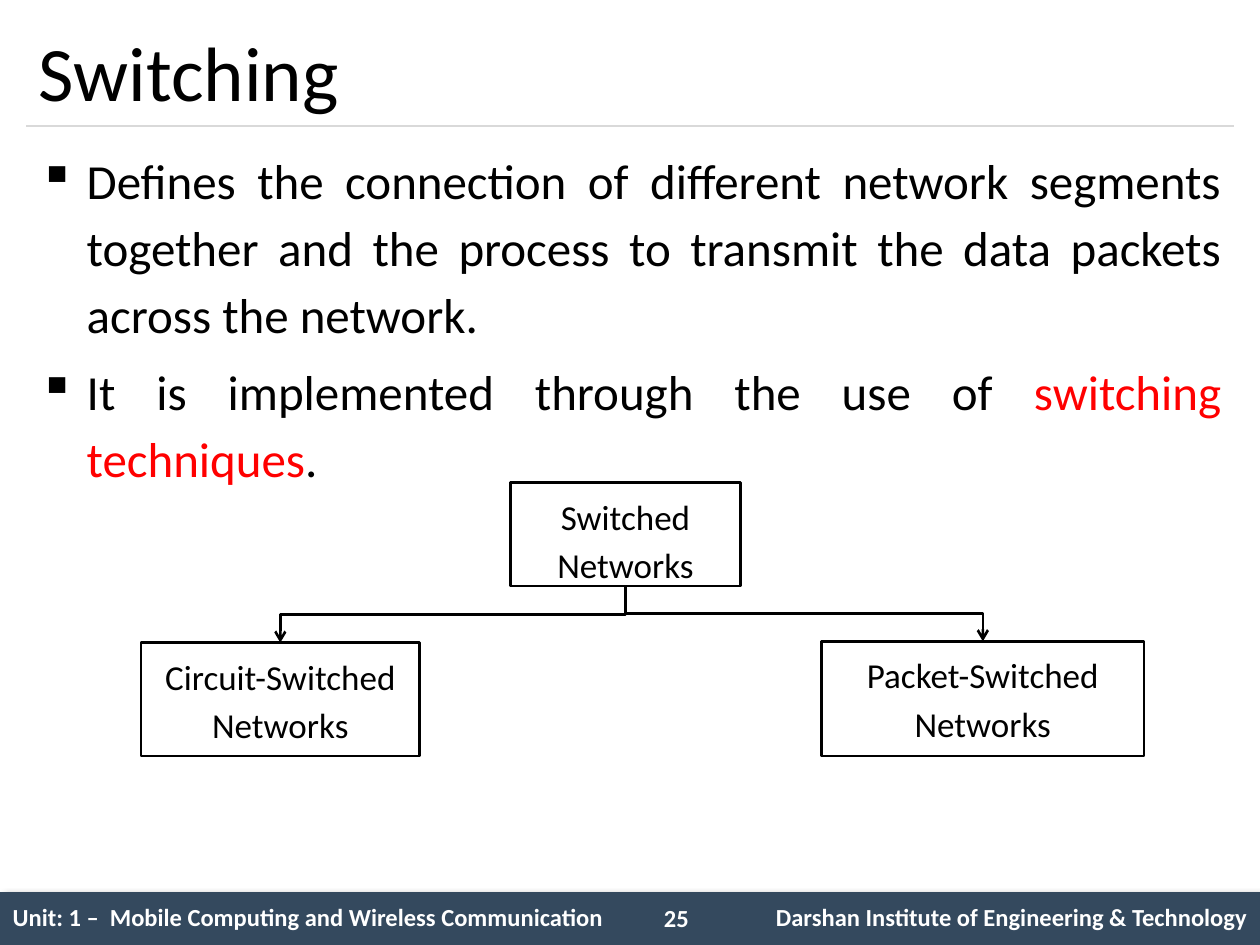
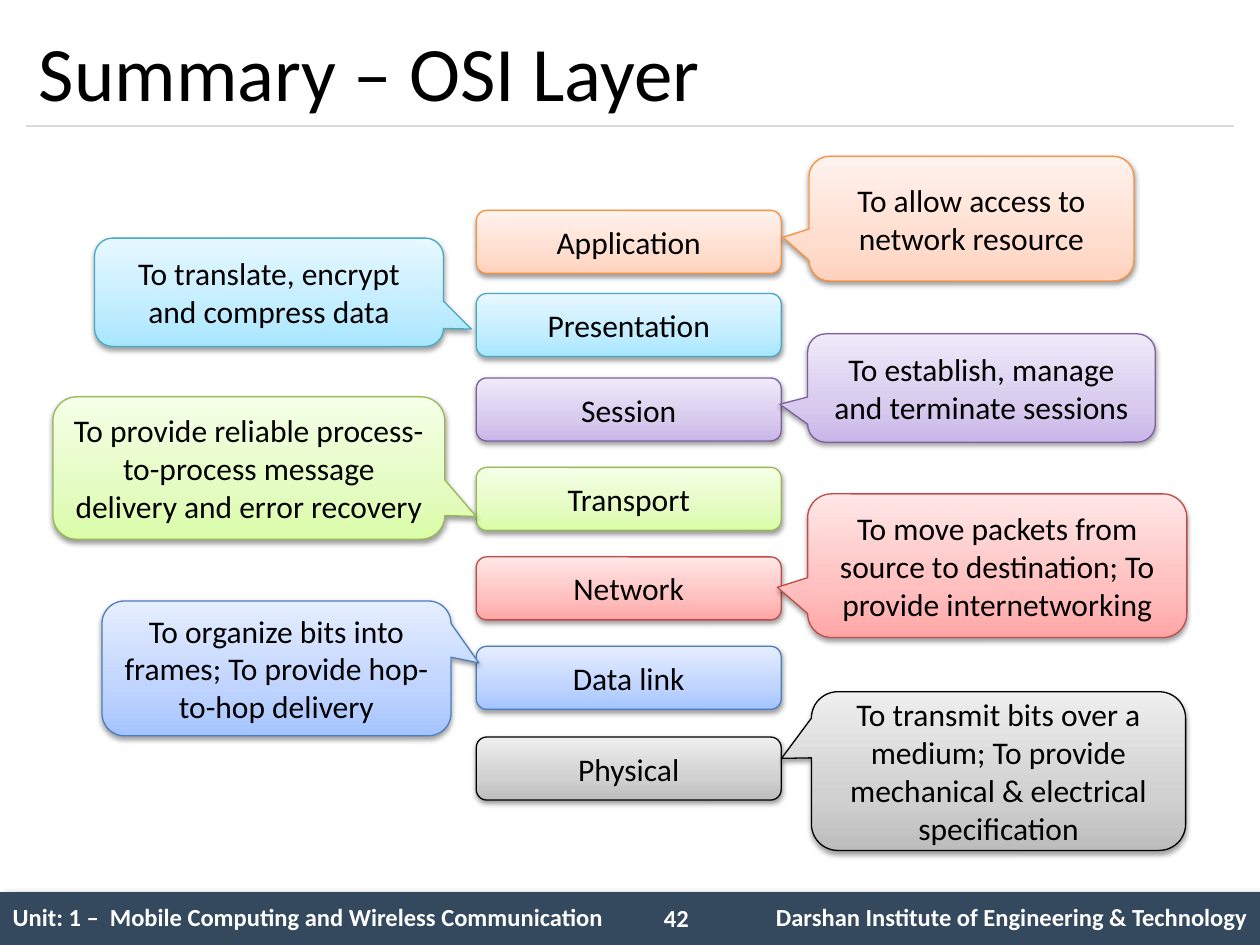
from dataclasses import dataclass

from lxml import etree
from pptx import Presentation
from pptx.dml.color import RGBColor
from pptx.enum.shapes import MSO_CONNECTOR, MSO_SHAPE
from pptx.enum.text import MSO_ANCHOR, PP_ALIGN
from pptx.oxml.ns import qn
from pptx.util import Emu, Inches, Pt

LEFT, CENTER, RIGHT, JUSTIFY = PP_ALIGN.LEFT, PP_ALIGN.CENTER, PP_ALIGN.RIGHT, PP_ALIGN.JUSTIFY
TOP, MIDDLE = MSO_ANCHOR.TOP, MSO_ANCHOR.MIDDLE
STRAIGHT, ELBOW = MSO_CONNECTOR.STRAIGHT, MSO_CONNECTOR.ELBOW
RECT, ROUNDED, CALLOUT = (MSO_SHAPE.RECTANGLE, MSO_SHAPE.ROUNDED_RECTANGLE,
                          MSO_SHAPE.ROUNDED_RECTANGULAR_CALLOUT)
BOTTOM_SITE, TOP_SITE = 2, 0
NO_STYLE_NO_GRID = "{2D5ABB26-0587-4C30-8999-92F81FD0307C}"


@dataclass(frozen=True)
class Theme:
    font: str = "Calibri"
    ink: str = "000000"
    paper: str = "FFFFFF"
    accent: str = "FF0000"
    band: str = "34495E"
    rule: str = "D9D9D9"
    title: int = 44
    body: int = 28
    box: int = 20
    layer: int = 18
    footer: int = 14


@dataclass(frozen=True)
class Layer:
    name: str
    top: float
    line: str
    stops: tuple      # colours from bottom to top
    note: str
    note_box: tuple
    tail_y: float     # callout tip, as a share of the height from the middle


T = Theme()
TITLE_BOX = (0.21, 0.12, 9.58, 0.88)
BODY_BOX = (0.21, 1.08, 9.58, 5.83)
FOOTER_BOX = (0, 7.08, 10, 0.42)
FOOTER_COLS = (5.08, 0.67, 4.25)
UNIT = "Unit: 1 –  Mobile Computing and Wireless Communication"
INSTITUTE = "Darshan Institute of Engineering & Technology"

BULLETS = [
    "Defines the connection of different network segments together and the process "
    "to transmit the data packets across the network.",
    [("It is implemented through the use of ", T.ink),
     ("switching techniques", T.accent), (".", T.ink)],
]

LAYER_LEFT, LAYER_W, LAYER_H = 3.78, 2.42, 0.5
GRADIENT_POSITIONS = (0, 35, 100)
LAYERS = [
    Layer("Application", 1.67, "F69240", ("FFD2BD", "FFDED0", "FFF2ED"),
          "To allow access to network resource", (6.42, 1.24, 2.58, 0.99), 0.15),
    Layer("Presentation", 2.33, "46AAC5", ("A7E6FF", "C1EDFF", "E7F8FF"),
          "To translate, encrypt and compress data", (0.75, 1.89, 2.77, 0.86), 0.34),
    Layer("Session", 3, "7D60A0", ("C9B5E8", "D8CBEE", "F0EAF9"),
          "To establish, manage and terminate sessions", (6.41, 2.65, 2.76, 0.86), 0.15),
    Layer("Transport", 3.71, "98B955", ("DAFDA7", "E4FCC2", "F5FFE7"),
          "To provide reliable process-to-process message delivery and error recovery",
          (0.42, 3.15, 3.11, 1.13), 0.34),
    Layer("Network", 4.42, "BF4C48", ("FFA6A5", "FFC0BF", "FFE7E7"),
          "To move packets from source to destination; To provide internetworking",
          (6.41, 3.92, 3.01, 1.14), 0.15),
    Layer("Data link", 5.13, "4B7EBC", ("A4C4FF", "BFD4FF", "E6EEFF"),
          "To organize bits into frames; To provide hop-to-hop delivery",
          (0.81, 4.77, 2.77, 1.07), -0.04),
    Layer("Physical", 5.85, "000000", ("BDBDBD", "D1D1D1", "EEEEEE"),
          "To transmit bits over a medium; To provide mechanical & electrical specification",
          (6.44, 5.49, 2.97, 1.26), -0.08),
]


def rgb(value):
    return RGBColor.from_string(value)


def inches(box):
    return [Inches(v) for v in box]


def add_xml(parent, tag, **attrs):
    el = etree.SubElement(parent, qn(tag))
    for key, value in attrs.items():
        el.set(key, str(value))
    return el


def add_bullet(p, indent=0.38):
    pPr = p._p.get_or_add_pPr()
    pPr.set("marL", str(Inches(indent)))
    pPr.set("indent", str(-Inches(indent)))
    add_xml(pPr, "a:buChar", char="▪")


def write(tf, paragraphs, size, color=T.ink, bold=False, align=LEFT, spacing=None,
          before=0, bullet=False):
    """Fill a text frame; a paragraph is a string or a list of (text, colour) runs."""
    tf.word_wrap = True
    for i, runs in enumerate(paragraphs):
        p = tf.add_paragraph() if i else tf.paragraphs[0]
        if bullet:
            add_bullet(p)
        p.alignment = align
        if spacing:
            p.line_spacing = spacing
        if i and before:
            p.space_before = Pt(before)
        for content, run_color in [(runs, color)] if isinstance(runs, str) else runs:
            r = p.add_run()
            r.text = content
            r.font.name, r.font.size, r.font.bold = T.font, Pt(size), bold
            r.font.color.rgb = rgb(run_color)


def add_text(s, box, paragraphs, size, anchor=TOP, **fmt):
    tf = s.shapes.add_textbox(*inches(box)).text_frame
    tf.vertical_anchor = anchor
    write(tf, paragraphs, size, **fmt)


def add_box(s, kind, box, fill=None, line=None, weight=0.75):
    sp = s.shapes.add_shape(kind, *inches(box))
    sp.shadow.inherit = False
    if fill:
        sp.fill.solid()
        sp.fill.fore_color.rgb = rgb(fill)
    if line:
        sp.line.color.rgb = rgb(line)
        sp.line.width = Pt(weight)
    else:
        sp.line.fill.background()
    return sp


def set_shadow(sp, alpha, blur, dist, angle):
    effects = sp._element.spPr.find(qn("a:effectLst"))
    shadow = add_xml(effects, "a:outerShdw", blurRad=Pt(blur), dist=Pt(dist),
                     dir=angle * 60000, algn="ctr", rotWithShape=0)
    add_xml(add_xml(shadow, "a:srgbClr", val=T.ink), "a:alpha", val=alpha * 1000)


def set_gradient(sp, colors):
    sp.fill.gradient()
    sp.fill.gradient_angle = 90
    stops = sp._element.spPr.find(".//" + qn("a:gsLst"))
    for stop in list(stops):
        stops.remove(stop)
    for pos, color in zip(GRADIENT_POSITIONS, colors):
        add_xml(add_xml(stops, "a:gs", pos=pos * 1000), "a:srgbClr", val=color)


def add_line(s, kind, ends, color, weight):
    cxn = s.shapes.add_connector(kind, *ends)
    cxn.line.color.rgb = rgb(color)
    cxn.line.width = Pt(weight)
    add_xml(cxn._element.spPr, "a:effectLst")
    return cxn


def join_down(s, parent, child):
    """Elbow arrow from the bottom of parent to the top of child."""
    x1, y1 = parent.left + parent.width // 2, parent.top + parent.height
    x2, y2 = child.left + child.width // 2, child.top
    cxn = add_line(s, ELBOW, (x1, y1, x2, y2), T.ink, 1.5)
    cxn.begin_connect(parent, BOTTOM_SITE)
    cxn.end_connect(child, TOP_SITE)
    drop, run = y2 - y1, abs(x2 - x1)
    cxn.left, cxn.top = Emu((x1 + x2 - drop) // 2), Emu((y1 + y2 - run) // 2)
    cxn.width, cxn.height = Emu(drop), Emu(run)
    xfrm = cxn._element.spPr.xfrm
    xfrm.flipH = x2 > x1
    xfrm.rot = 270 if x2 > x1 else 90
    add_xml(cxn.line._get_or_add_ln(), "a:tailEnd", type="arrow")


def add_footer(s, box, number):
    left, top, width, height = box
    set_shadow(add_box(s, RECT, box, fill=T.band), 40, 4, 3, 45)
    frame = s.shapes.add_table(1, len(FOOTER_COLS), *inches(box))
    table = frame.table
    table.first_row = table.horz_banding = False
    table._tbl.tblPr.find(qn("a:tableStyleId")).text = NO_STYLE_NO_GRID
    fmt = dict(size=T.footer, color=T.paper, bold=True)
    for i, col_width in enumerate(FOOTER_COLS):
        table.columns[i].width = Inches(col_width)
        cell = table.cell(0, i)
        cell.fill.background()
        cell.vertical_anchor = MIDDLE
    write(table.cell(0, 0).text_frame, [UNIT], **fmt)
    write(table.cell(0, 2).text_frame, [INSTITUTE], align=RIGHT, **fmt)
    add_text(s, (left + 5.17, top + 0.04, 0.58, 0.34), [str(number)], **fmt)


def add_base_slide(prs, title, number):
    s = prs.slides.add_slide(prs.slide_layouts[6])
    add_footer(s, FOOTER_BOX, number)
    add_line(s, STRAIGHT, inches((0.21, 1, 9.79, 1)), T.rule, 0.75)
    add_text(s, TITLE_BOX, [title], T.title, anchor=MIDDLE)
    return s


def add_network_box(s, box, kind):
    sp = add_box(s, RECT, box, fill=T.paper, line=T.ink, weight=1.5)
    sp.text_frame.vertical_anchor = TOP
    write(sp.text_frame, [kind, "Networks"], T.box, align=CENTER, spacing=1.15)
    return sp


def add_network_tree(s, left, top):
    root = add_network_box(s, (left + 2.93, top, 1.83, 0.82), "Switched")
    packet = add_network_box(s, (left + 5.4, top + 1.26, 2.56, 0.91), "Packet-Switched")
    circuit = add_network_box(s, (left, top + 1.27, 2.21, 0.9), "Circuit-Switched")
    for child in (packet, circuit):
        join_down(s, root, child)


def add_layer_shape(s, kind, box, layer, label):
    sp = add_box(s, kind, box, line=layer.line)
    set_gradient(sp, layer.stops)
    set_shadow(sp, 38, 3.1, 1.6, 90)
    sp.text_frame.vertical_anchor = MIDDLE
    write(sp.text_frame, [label], T.layer, align=CENTER)
    return sp


def add_layer(s, layer):
    add_layer_shape(s, ROUNDED, (LAYER_LEFT, layer.top, LAYER_W, LAYER_H), layer, layer.name)
    note = add_layer_shape(s, CALLOUT, layer.note_box, layer, layer.note)
    note.adjustments[0] = 0.58 if layer.note_box[0] < LAYER_LEFT else -0.58
    note.adjustments[1] = layer.tail_y


def build_switching(prs):
    s = add_base_slide(prs, "Switching", 25)
    add_text(s, BODY_BOX, BULLETS, T.body, align=JUSTIFY, spacing=1.14,
             before=T.body * 0.2, bullet=True)
    add_network_tree(s, 1.12, 3.83)


def build_osi_summary(prs):
    s = add_base_slide(prs, "Summary – OSI Layer", 42)
    for layer in LAYERS:
        add_layer(s, layer)


def main():
    prs = Presentation()
    prs.slide_width, prs.slide_height = Inches(10), Inches(7.5)
    build_switching(prs)
    build_osi_summary(prs)
    prs.save("out.pptx")


if __name__ == "__main__":
    main()
